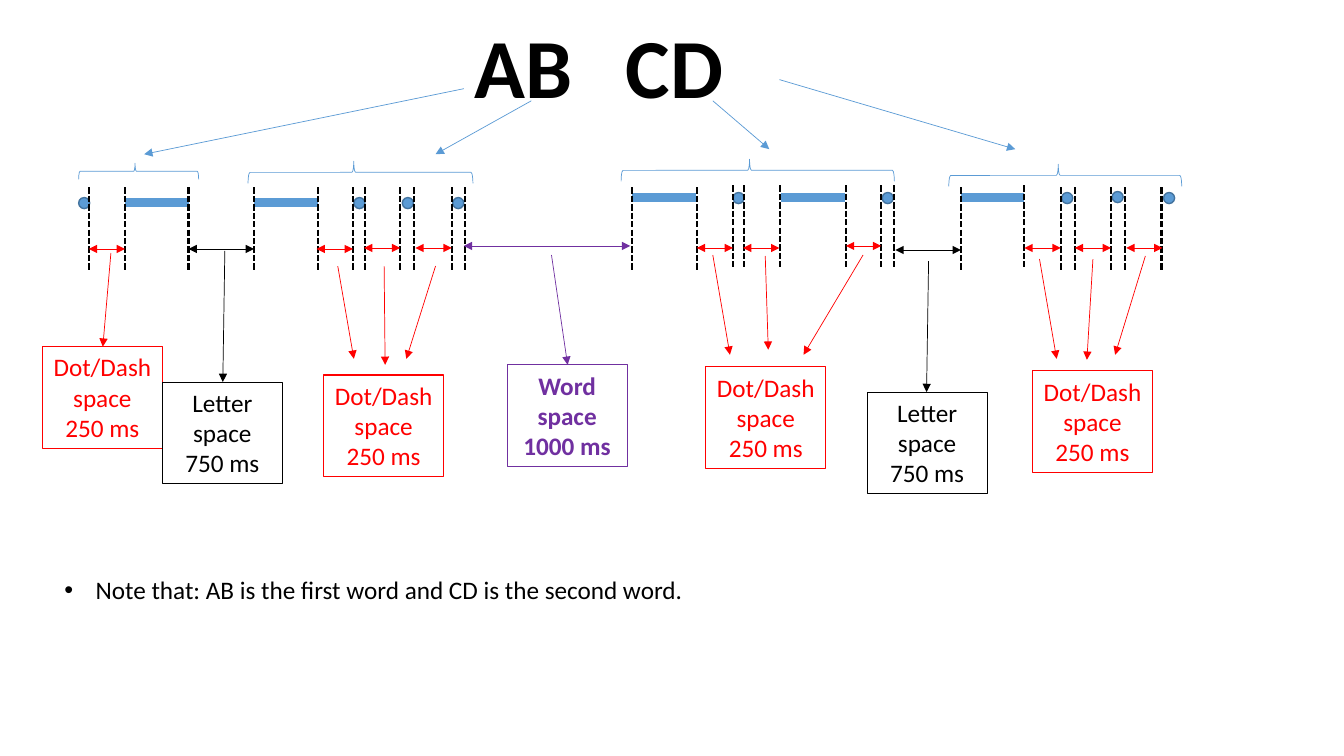
from lxml.etree import SubElement
from pptx import Presentation
from pptx.dml.color import RGBColor
from pptx.enum.dml import MSO_LINE
from pptx.enum.shapes import MSO_CONNECTOR, MSO_SHAPE
from pptx.enum.text import MSO_ANCHOR, MSO_AUTO_SIZE, PP_ALIGN
from pptx.oxml.ns import qn
from pptx.util import Emu, Pt

COLORS = {"blue": "5B9BD5", "outline": "43739E", "red": "FF0000",
          "black": "000000", "purple": "7030A0"}
SPACES = {
    "symbol": {"text": ("Dot/Dash space", "250 ms"), "color": "red", "bold": False},
    "letter": {"text": ("Letter space", "750 ms"), "color": "black", "bold": False},
    "word": {"text": ("Word space", "1000 ms"), "color": "purple", "bold": True},
}

DASH_LENGTH, DOT_SIZE, GUIDE_LENGTH = 63, 11, 83
LABEL_SIZE = (119, 101)

DASHES = [(124, 201), (252, 201), (627, 196), (775, 196), (953, 196)]
DOTS = [(78, 196), (351, 196), (399, 196), (449, 196), (727, 191),
        (875, 191), (1053, 191), (1103, 190), (1154, 191)]
GUIDES = {
    186: [88, 124, 187, 252, 315, 350, 362, 397, 411, 448, 461, 627, 691,
          953, 1052, 1066, 1102, 1116, 1152],
    184: [727, 738, 774, 839, 874, 887, 1016],
}
# left, top, width, height
BRACES = [(78, 162, 119, 16), (246, 160, 223, 22),
          (616, 158, 271, 22), (941, 163, 231, 22)]
# x1, y1, x2, y2
LETTER_ARROWS = [(460, 88, 143, 153), (527, 100, 432, 153),
                 (707, 100, 763, 148), (773, 79, 1007, 148)]
# x1, x2, y
SPANS = {
    "symbol": [(88, 124, 247), (314, 350, 247), (361, 397, 246), (412, 448, 246),
               (691, 727, 246), (737, 773, 246), (839, 874, 244),
               (1016, 1052, 246), (1066, 1102, 246), (1117, 1153, 246)],
    "letter": [(187, 252, 247), (888, 953, 248)],
    "word": [(460, 625, 244)],
}
POINTERS = {
    "symbol": [(110, 251, 102, 344),
               (335, 264, 351, 356), (381, 264, 382, 362), (432, 264, 403, 356),
               (707, 253, 724, 352), (759, 254, 762, 347), (856, 253, 797, 352),
               (1031, 257, 1048, 356), (1084, 257, 1078, 357), (1136, 254, 1106, 352)],
    "letter": [(223, 249, 221, 379), (921, 259, 919, 389)],
    "word": [(547, 253, 563, 362)],
}
LABELS = {
    "symbol": [(42, 344), (321, 372), (700, 364), (1024, 368)],
    "letter": [(161, 379), (860, 389)],
    "word": [(503, 362)],
}


def px(n):
    """Turn px, 100 to the inch, into EMU."""
    return Emu(int(n * 9144))


def rgb(name):
    return RGBColor.from_string(COLORS[name])


def set_line(sp, color, width):
    sp.line.color.rgb = rgb(color)
    sp.line.width = Pt(width)


def add_line(shapes, start, end, color, width, dash=None, arrows=()):
    """Draw a straight line; arrows names its ends, headEnd or tailEnd."""
    sp = shapes.add_connector(MSO_CONNECTOR.STRAIGHT, px(start[0]), px(start[1]),
                              px(end[0]), px(end[1]))
    set_line(sp, color, width)
    if dash:
        sp.line.dash_style = dash
    for name in arrows:
        SubElement(sp.line._get_or_add_ln(), qn(f"a:{name}")).set("type", "triangle")
    SubElement(sp._element.spPr, qn("a:effectLst"))


def add_outline(shapes, kind, x, y, w, h, color, width):
    """Add an unfilled preset shape."""
    sp = shapes.add_shape(kind, px(x), px(y), px(w), px(h))
    sp.shadow.inherit = False
    sp.fill.background()
    set_line(sp, color, width)
    return sp


def add_dot(shapes, x, y):
    sp = add_outline(shapes, MSO_SHAPE.OVAL, x, y, DOT_SIZE, DOT_SIZE, "outline", 1)
    sp.fill.solid()
    sp.fill.fore_color.rgb = rgb("blue")


def add_brace(shapes, x, y, w, h):
    """Add a brace opening downwards, in the box it covers once turned."""
    sp = add_outline(shapes, MSO_SHAPE.LEFT_BRACE, x + (w - h) / 2, y - (w - h) / 2,
                     h, w, "blue", 0.5)
    sp.rotation = 90
    sp.adjustments[1] = 0.53


def set_text(sp, lines, color, align=PP_ALIGN.LEFT, wrap=True, **font):
    tf = sp.text_frame
    frame = {"word_wrap": wrap, "auto_size": MSO_AUTO_SIZE.SHAPE_TO_FIT_TEXT,
             "vertical_anchor": MSO_ANCHOR.TOP}
    for name, value in frame.items():
        setattr(tf, name, value)
    for i, line in enumerate(lines):
        p = tf.paragraphs[0] if i == 0 else tf.add_paragraph()
        p.alignment = align
        r = p.add_run()
        r.text = line
        r.font.color.rgb = rgb(color)
        for name, value in {"name": "Calibri", **font}.items():
            setattr(r.font, name, value)


def add_text(shapes, box, text, **style):
    sp = shapes.add_textbox(*map(px, box))
    set_text(sp, [text], "black", **style)
    return sp


def add_label(shapes, x, y, space):
    sp = add_outline(shapes, MSO_SHAPE.RECTANGLE, x, y, *LABEL_SIZE, space["color"], 0.75)
    set_text(sp, space["text"], space["color"], PP_ALIGN.CENTER,
             size=Pt(18), bold=space["bold"])


def add_bullet(p, indent):
    pPr = p._p.get_or_add_pPr()
    pPr.set("marL", str(px(indent)))
    pPr.set("indent", str(-px(indent)))
    SubElement(pPr, qn("a:buFont")).set("typeface", "Arial")
    SubElement(pPr, qn("a:buChar")).set("char", "•")


def add_signal(shapes):
    """Draw the dots, dashes and guides of the Morse signal."""
    for x, y in DASHES:
        add_line(shapes, (x, y), (x + DASH_LENGTH, y), "blue", 6)
    for x, y in DOTS:
        add_dot(shapes, x, y)
    for y, xs in GUIDES.items():
        for x in xs:
            add_line(shapes, (x, y), (x, y + GUIDE_LENGTH), "black", 1.5,
                     dash=MSO_LINE.SQUARE_DOT)


def add_letters(shapes):
    add_text(shapes, (461, 9, 394, 111), "AB\t\tCD", size=Pt(60), bold=True)
    for x1, y1, x2, y2 in LETTER_ARROWS:
        add_line(shapes, (x1, y1), (x2, y2), "blue", 0.5, arrows=["tailEnd"])
    for brace in BRACES:
        add_brace(shapes, *brace)


def add_spaces(shapes):
    """Draw each kind of space: its spans, its labels and the arrows between."""
    for kind, space in SPACES.items():
        color = space["color"]
        for x1, x2, y in SPANS[kind]:
            add_line(shapes, (x1, y), (x2, y), color, 0.5, arrows=["headEnd", "tailEnd"])
        for x, y in LABELS[kind]:
            add_label(shapes, x, y, space)
        for x1, y1, x2, y2 in POINTERS[kind]:
            add_line(shapes, (x1, y1), (x2, y2), color, 0.5, arrows=["tailEnd"])


def main():
    prs = Presentation()
    prs.slide_width, prs.slide_height = px(1333), px(750)
    s = prs.slides.add_slide(prs.slide_layouts[6])
    diagram = s.shapes.add_group_shape().shapes
    add_signal(diagram)
    add_letters(diagram)
    add_spaces(diagram)
    note = add_text(s.shapes, (54, 565, 641, 40),
                    "Note that: AB is the first word and CD is the second word.",
                    wrap=False, size=Pt(18))
    add_bullet(note.text_frame.paragraphs[0], 31)
    prs.save("out.pptx")


if __name__ == "__main__":
    main()
